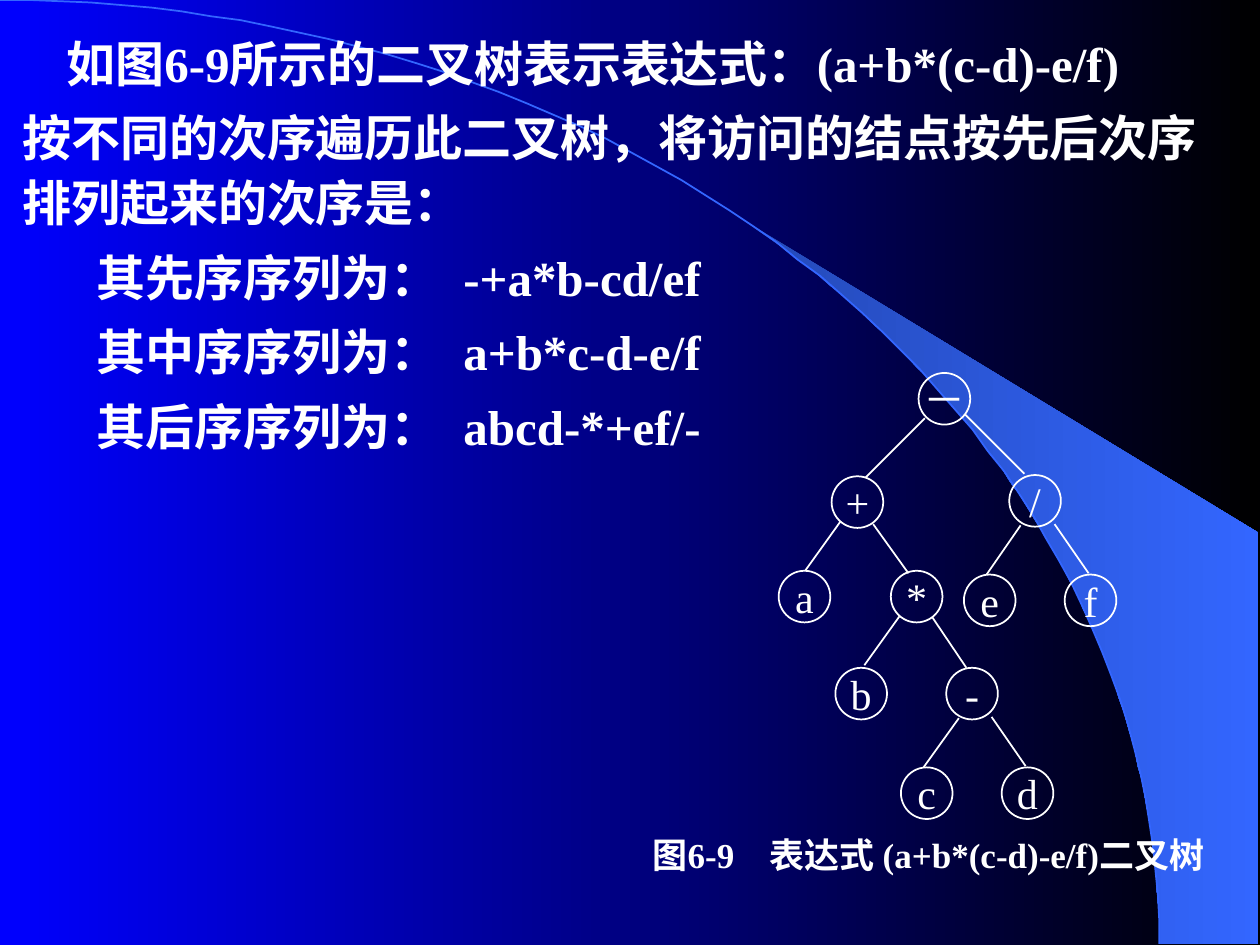
from dataclasses import dataclass
from math import asin, cos, pi, sin

from lxml import etree
from pptx import Presentation
from pptx.dml.color import RGBColor
from pptx.enum.shapes import MSO_CONNECTOR, MSO_SHAPE
from pptx.enum.text import MSO_ANCHOR, PP_ALIGN
from pptx.oxml.ns import qn
from pptx.util import Pt

PX = 9144  # EMU in one px, 100 px to the inch
CENTER = PP_ALIGN.CENTER
MIDDLE = MSO_ANCHOR.MIDDLE
OVAL = MSO_SHAPE.OVAL
STRAIGHT = MSO_CONNECTOR.STRAIGHT

CJK, LATIN, ARIAL = "Noto Sans CJK SC", "Times New Roman", "Arial"
WHITE, BLUE = "FFFFFF", "3366FF"
ARC_W, ARC_H = 920, 749
BAND_LEFT = 589
NODE = 41


@dataclass
class Line:
    runs: list[tuple[str, str]]
    indent: int = 0
    tab: int = 0


@dataclass
class Node:
    text: str
    x: int
    y: int


@dataclass
class Edge:
    x: int
    y: int
    dx: int
    dy: int = 39


LINES = [
    Line([("如图", CJK), ("6-9", LATIN), ("所示的二叉树表示表达式：", CJK),
          ("(a+b*(c-d)-e/f)", LATIN)], indent=35),
    Line([("按不同的次序遍历此二叉树，将访问的结点按先后次序排列起来的次序是：", CJK)]),
    Line([("其先序序列为：\t", CJK), ("-+a*b-cd/ef", LATIN)], 59, 358),
    Line([("其中序序列为：\t", CJK), ("a+b*c-d-e/f", LATIN)], 59, 367),
    Line([("其后序序列为：\t", CJK), ("abcd-*+ef/-", LATIN)], 59, 367),
]
CAPTION = Line([("图", ARIAL), ("6-9　", LATIN), ("表达式 ", CJK),
                ("(a+b*(c-d)-e/f)二叉树", LATIN)])
NODES = [
    Node("－", 729, 296),
    Node("+", 660, 378), Node("/", 801, 377),
    Node("a", 618, 453), Node("*", 707, 453),
    Node("e", 765, 456), Node("f", 845, 456),
    Node("b", 663, 530), Node("-", 751, 530),
    Node("c", 715, 609), Node("d", 795, 609),
]
EDGES = [
    Edge(734, 332, -47, 47), Edge(766, 329, 47, 47),
    Edge(667, 414, -28), Edge(693, 416, 28),
    Edge(810, 417, -27), Edge(837, 416, 27),
    Edge(714, 489, -28), Edge(740, 490, 27, 40),
    Edge(761, 570, -28), Edge(787, 569, 27),
]


def rgb(color: str) -> RGBColor:
    return RGBColor.from_string(color)


def set_gradient(fill, start: str, end: str) -> None:
    fill.gradient()
    fill.gradient_angle = 0
    for stop, color in zip(fill.gradient_stops, (start, end)):
        stop.color.rgb = rgb(color)


def set_line(line, color: str) -> None:
    line.color.rgb = rgb(color)
    line.width = Pt(1)


def add_text(p, text: str, *, font: str, size: int, bold: bool = False) -> None:
    r = p.add_run()
    r.text = text
    r.font.size, r.font.bold, r.font.name = Pt(size), bold, font
    r.font.color.rgb = rgb(WHITE)
    etree.SubElement(r.font._element, qn("a:ea"), typeface=CJK)


def add_line(p, line: Line, size: int) -> None:
    """Fill a paragraph with bold runs, a first-line indent and a tab stop."""
    pPr = p._p.get_or_add_pPr()
    if line.indent:
        pPr.set("marL", "0")
        pPr.set("indent", str(line.indent * PX))
    if line.tab:
        tabs = etree.SubElement(pPr, qn("a:tabLst"))
        etree.SubElement(tabs, qn("a:tab"), pos=str(line.tab * PX), algn="l")
    for text, font in line.runs:
        add_text(p, text, font=font, size=size, bold=True)


def add_box(shapes, x: int, y: int, w: int, h: int, *, wrap: bool):
    tf = shapes.add_textbox(x * PX, y * PX, w * PX, h * PX).text_frame
    tf.word_wrap = wrap
    return tf


def arc_points(start: float, steps: int = 60) -> list[tuple[float, float]]:
    """Points on the quarter ellipse, from an angle to its lower right end."""
    angles = [start + (pi / 2 - start) * i / steps for i in range(steps + 1)]
    return [(ARC_W * sin(a), ARC_H * (1 - cos(a))) for a in angles]


def add_outline(shapes, points: list[tuple[float, float]], close: bool):
    builder = shapes.build_freeform(*points[0], scale=PX)
    builder.add_line_segments(points[1:], close=close)
    sp = builder.convert_to_shape()
    sp.shadow.inherit = False
    return sp


def add_backdrop(s) -> None:
    set_gradient(s.background.fill, "0000FF", "000000")
    edge = arc_points(asin(BAND_LEFT / ARC_W))
    band = add_outline(s.shapes, edge + [(999, 749), (999, 423)], True)
    set_gradient(band.fill, "2449B6", BLUE)
    band.line.fill.background()
    arc = add_outline(s.shapes, arc_points(0), False)
    arc.fill.background()
    set_line(arc.line, BLUE)


def add_node(shapes, node: Node) -> None:
    sp = shapes.add_shape(OVAL, node.x * PX, node.y * PX, NODE * PX, NODE * PX)
    sp.shadow.inherit = False
    sp.fill.background()
    set_line(sp.line, WHITE)
    tf = sp.text_frame
    tf.word_wrap, tf.vertical_anchor = False, MIDDLE
    p = tf.paragraphs[0]
    p.alignment = CENTER
    add_text(p, node.text, font=LATIN, size=24)


def add_edge(shapes, edge: Edge) -> None:
    ends = (edge.x, edge.y, edge.x + edge.dx, edge.y + edge.dy)
    connector = shapes.add_connector(STRAIGHT, *(v * PX for v in ends))
    set_line(connector.line, WHITE)
    etree.SubElement(connector._element.spPr, qn("a:effectLst"))


def main() -> None:
    prs = Presentation()
    prs.slide_width, prs.slide_height = 1000 * PX, 750 * PX
    s = prs.slides.add_slide(prs.slide_layouts[6])
    add_backdrop(s)

    tf = add_box(s.shapes, 8, 17, 983, 356, wrap=True)
    for i, line in enumerate(LINES):
        p = tf.add_paragraph() if i else tf.paragraphs[0]
        p.line_spacing = 1.1
        if i:
            p.space_before = Pt(5.6)
        add_line(p, line, 28)

    tree = s.shapes.add_group_shape().shapes
    for edge in EDGES:
        add_edge(tree, edge)
    for node in NODES:
        add_node(tree, node)

    tf = add_box(tree, 494, 659, 486, 39, wrap=False)
    tf.vertical_anchor = MIDDLE
    tf.paragraphs[0].alignment = CENTER
    add_line(tf.paragraphs[0], CAPTION, 20)
    prs.save("out.pptx")


if __name__ == "__main__":
    main()
